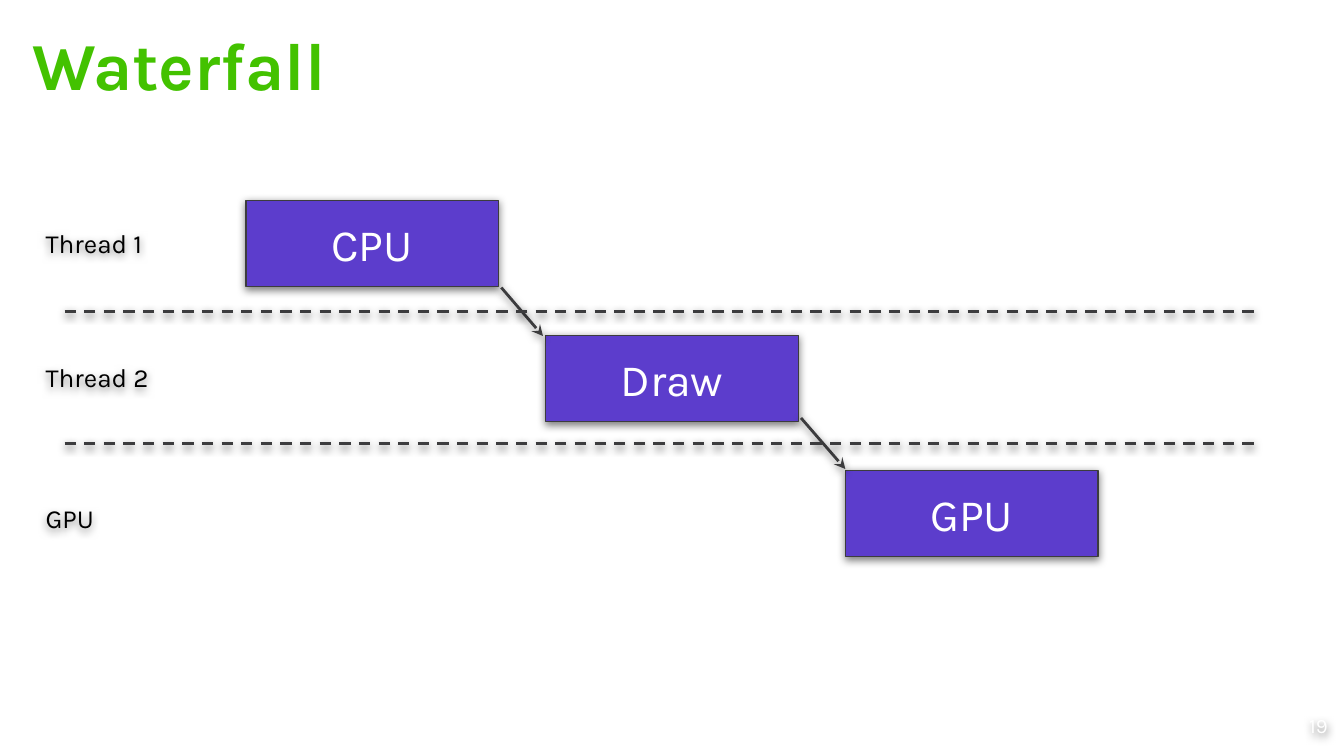
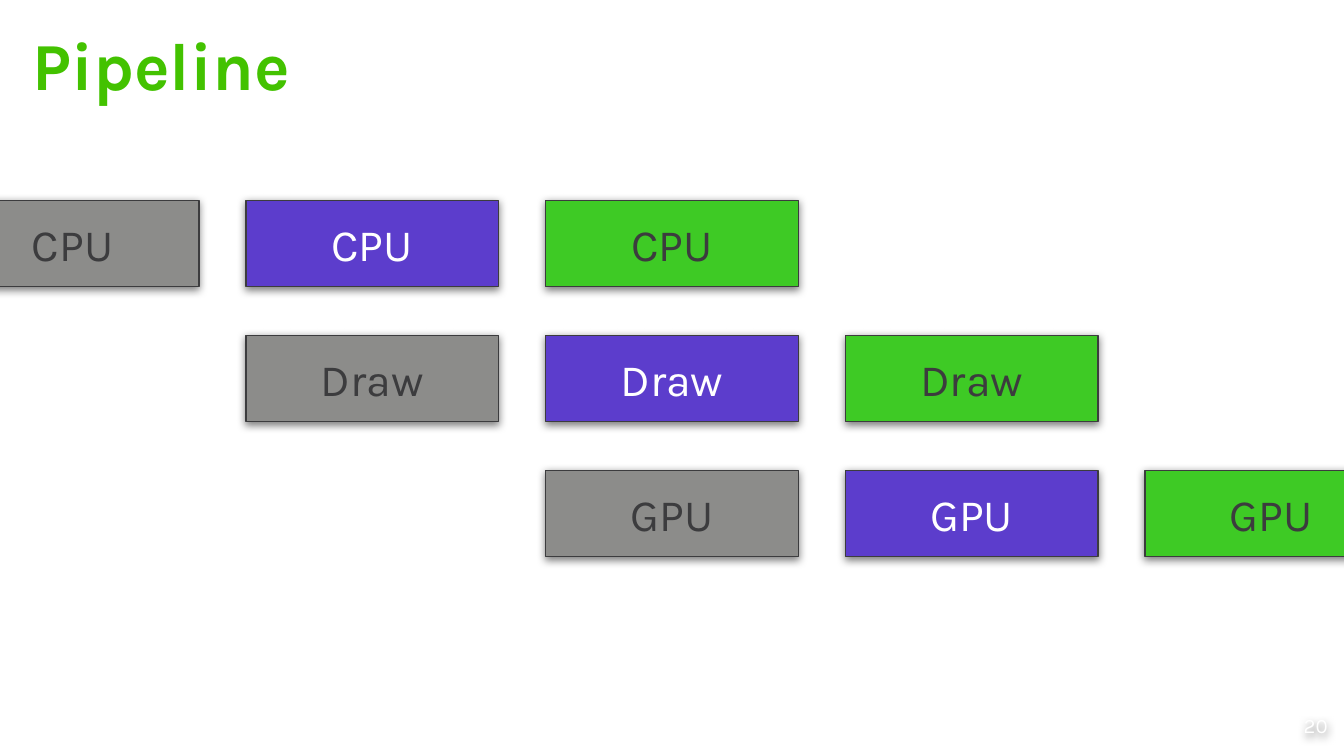
"""Build two slides that contrast waterfall and pipeline rendering."""
from pptx import Presentation
from pptx.dml.color import RGBColor
from pptx.enum.dml import MSO_LINE
from pptx.enum.shapes import MSO_CONNECTOR, MSO_SHAPE
from pptx.enum.text import MSO_ANCHOR, MSO_AUTO_SIZE, PP_ALIGN
from pptx.oxml import parse_xml
from pptx.oxml.ns import nsdecls
from pptx.util import Inches, Pt

STRAIGHT = MSO_CONNECTOR.STRAIGHT
RECTANGLE = MSO_SHAPE.RECTANGLE
DASH = MSO_LINE.DASH
TOP, MIDDLE = MSO_ANCHOR.TOP, MSO_ANCHOR.MIDDLE
LEFT, CENTER, RIGHT = PP_ALIGN.LEFT, PP_ALIGN.CENTER, PP_ALIGN.RIGHT
GROW = MSO_AUTO_SIZE.SHAPE_TO_FIT_TEXT

SLIDE_WIDTH = 10
SLIDE_HEIGHT = SLIDE_WIDTH * 9 / 16
FONT = "Karla"
WHITE, BLACK, DARK = "FFFFFF", "000000", "3C3C3E"
TITLE_GREEN, GREEN, PURPLE, GRAY = "43C200", "3ECA25", "5C3DCC", "8C8C8A"

STAGES = ["CPU", "Draw", "GPU"]
FRAMES = [(-1, GRAY, DARK), (0, PURPLE, WHITE), (1, GREEN, DARK)]
STAGE_WIDTH, STAGE_HEIGHT = 1.88, 0.64
COLUMN_STEP, ROW_STEP = 2.23, 2.01 / 2
STAGE_AREA = (1.83, 1.49)
LANE_AREA = (0.24, 1.49, 9.12)


def color(value):
    """Turn a hex string into a colour."""
    return RGBColor.from_string(value)


def add_shadow(shape):
    """Give a shape or line the soft shadow of the deck."""
    shape._element.spPr.append(parse_xml(
        f'<a:effectLst {nsdecls("a")}>'
        f'<a:outerShdw blurRad="{Pt(4.5)}" dist="{Pt(1.5)}" dir="5400000" '
        'algn="bl" rotWithShape="0"><a:srgbClr val="000000">'
        '<a:alpha val="50000"/></a:srgbClr></a:outerShdw></a:effectLst>'))


def write(shape, text, size, hex_color, align=LEFT, anchor=TOP, inset=0.1, bold=False):
    """Put one styled paragraph into a shape."""
    frame = shape.text_frame
    frame.word_wrap = True
    frame.vertical_anchor = anchor
    frame.margin_left = frame.margin_right = Inches(inset)
    frame.margin_top = frame.margin_bottom = Inches(inset)
    paragraph = frame.paragraphs[0]
    paragraph.text = text
    paragraph.alignment = align
    paragraph.font.name = FONT
    paragraph.font.size = Pt(size)
    paragraph.font.bold = bold
    paragraph.font.color.rgb = color(hex_color)


def add_text_box(slide, left, top, width, height):
    """Add an empty text box."""
    return slide.shapes.add_textbox(
        Inches(left), Inches(top), Inches(width), Inches(height))


def add_line(slide, start, end):
    """Add a dark shadowed line."""
    line = slide.shapes.add_connector(STRAIGHT, *map(Inches, start + end))
    line.line.color.rgb = color(DARK)
    line.line.width = Pt(1.5)
    add_shadow(line)
    return line


def add_arrow(slide, start, end):
    """Add a line with a stealth arrowhead at its end."""
    arrow = add_line(slide, start, end)
    arrow.line._get_or_add_ln().append(
        parse_xml(f'<a:tailEnd {nsdecls("a")} type="stealth"/>'))


def add_stage(slide, row, column, fill, text_color):
    """Place one stage on the grid of rows and time steps."""
    left, top = STAGE_AREA
    stage = slide.shapes.add_shape(
        RECTANGLE, Inches(left + column * COLUMN_STEP), Inches(top + row * ROW_STEP),
        Inches(STAGE_WIDTH), Inches(STAGE_HEIGHT))
    stage.fill.solid()
    stage.fill.fore_color.rgb = color(fill)
    stage.line.color.rgb = color(DARK)
    stage.line.width = Pt(0.75)
    add_shadow(stage)
    write(stage, STAGES[row], 24, text_color, CENTER, MIDDLE)


def add_lanes(slide, left, top, width):
    """Label the thread lanes and draw the dashed lines between them."""
    for text, offset in [("Thread 1", 0.1), ("Thread 2", 1.1), ("GPU", 2.15)]:
        label = add_text_box(slide, left, top + offset, 1.39, 0.44)
        add_shadow(label)
        write(label, text, 14, BLACK)
        label.text_frame.auto_size = GROW
    for offset in (0.83, 1.81):
        divider = add_line(slide, (left + 0.24, top + offset), (left + width, top + offset))
        divider.line.dash_style = DASH


def add_handoffs(slide, left, top):
    """Draw the arrows that lead from one stage to the next."""
    add_arrow(slide, (left + 1.9, top + 0.65), (left + 2.21, top + 1.01))
    add_arrow(slide, (left + 4.13, top + 1.62), (left + 4.46, top + 2))


def new_slide(presentation, title, number):
    """Add a slide with its title and page number."""
    slide = presentation.slides.add_slide(presentation.slide_layouts[6])
    page = add_text_box(slide, 7.61, 5.24, 2.27, 0.32)
    add_shadow(page)
    write(page, str(number), 11, WHITE, RIGHT, MIDDLE, inset=0)
    heading = add_text_box(slide, 0.24, 0.17, 9.51, 0.71)
    write(heading, title, 36, TITLE_GREEN, inset=0, bold=True)
    return slide


def waterfall_slide(presentation):
    """Show one frame that passes through the stages in turn."""
    slide = new_slide(presentation, "Waterfall", 19)
    for step in range(len(STAGES)):
        add_stage(slide, step, step, PURPLE, WHITE)
    add_handoffs(slide, *STAGE_AREA)
    add_lanes(slide, *LANE_AREA)


def pipeline_slide(presentation):
    """Show three frames that overlap in the stages."""
    slide = new_slide(presentation, "Pipeline", 20)
    for row in range(len(STAGES)):
        for delay, fill, text_color in FRAMES:
            add_stage(slide, row, row + delay, fill, text_color)


def main():
    """Build and save the presentation."""
    presentation = Presentation()
    presentation.slide_width = Inches(SLIDE_WIDTH)
    presentation.slide_height = Inches(SLIDE_HEIGHT)
    waterfall_slide(presentation)
    pipeline_slide(presentation)
    presentation.save("out.pptx")


if __name__ == "__main__":
    main()
